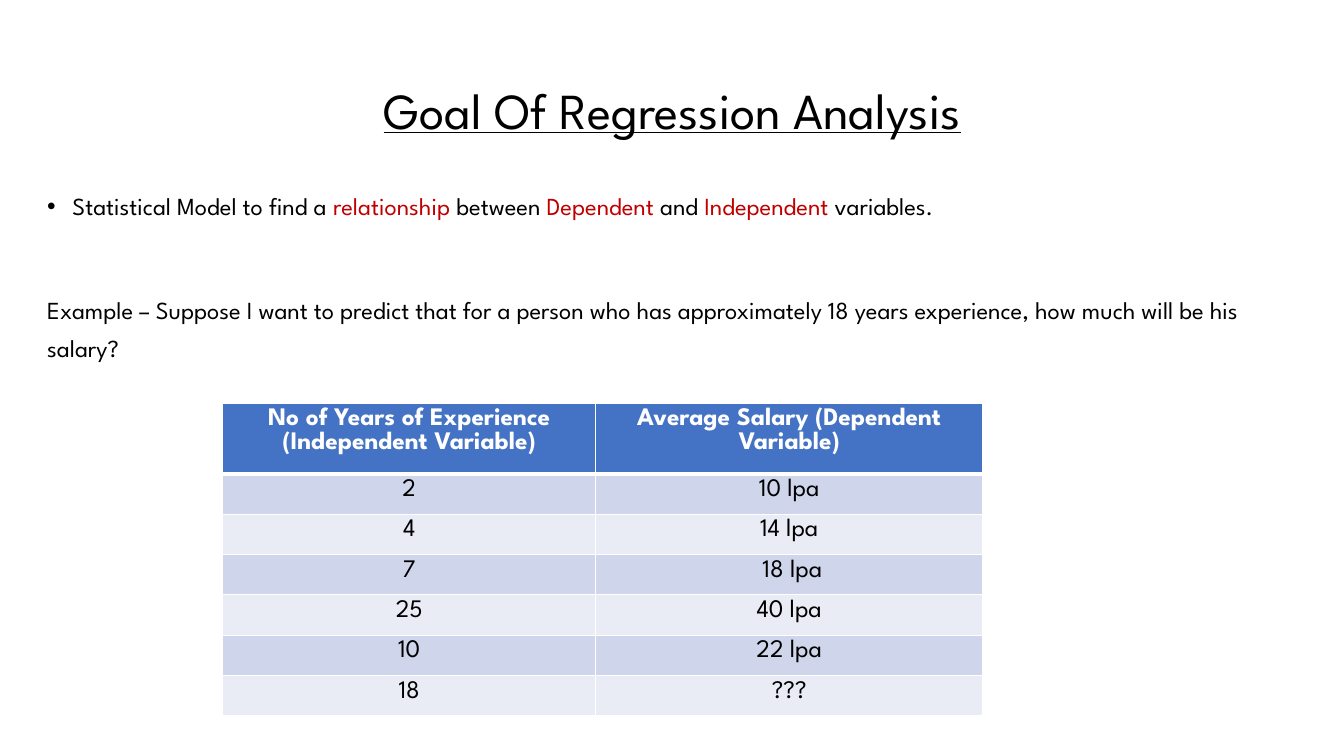
from dataclasses import dataclass

import pptx
import pptx.dml.color
import pptx.enum.text
import pptx.oxml
import pptx.oxml.ns
import pptx.presentation
import pptx.slide
import pptx.table
import pptx.text.text
import pptx.util

Pt = pptx.util.Pt
PP_ALIGN = pptx.enum.text.PP_ALIGN


@dataclass(frozen=True)
class Theme:
    font: str = "League Spartan"
    text: str = "000000"
    accent: str = "C00000"
    header: str = "4472C4"
    bands: tuple[str, str] = ("CFD5EA", "E9EBF5")
    light: str = "FFFFFF"
    title_size: float = 36
    body_size: float = 17.5
    table_size: float = 18


@dataclass(frozen=True)
class Box:
    left: float
    top: float
    width: float
    height: float

    def lengths(self) -> list[pptx.util.Length]:
        return [Pt(v) for v in (self.left, self.top, self.width, self.height)]


@dataclass(frozen=True)
class Run:
    text: str
    accented: bool = False


@dataclass(frozen=True)
class Paragraph:
    runs: tuple[Run, ...]
    space_before: float
    bulleted: bool = False


THEME = Theme()
TITLE_BOX = Box(66.24, 28.8, 828, 104.4)
BODY_BOX = Box(26.64, 126.72, 915.84, 143.28)
TABLE_BOX = Box(159.12, 288, 542.88, 193.6)
COLUMN_WIDTHS = (266.4, 276.48)
HEADER_HEIGHT, ROW_HEIGHT = 40, 25.6
THIN, THICK = 1, 3

BODY = (
    Paragraph(
        (
            Run("Statistical Model to find a "),
            Run("relationship", accented=True),
            Run(" between "),
            Run("Dependent", accented=True),
            Run(" and "),
            Run("Independent", accented=True),
            Run(" variables."),
        ),
        space_before=10,
        bulleted=True,
    ),
    Paragraph(
        (Run("Example – Suppose I want to predict that for a person who has approximately "
             "18 years experience, how much will be his salary?"),),
        space_before=47,
    ),
)

SALARIES = (
    ("No of Years of Experience (Independent Variable)", "Average Salary (Dependent Variable)"),
    ("2", "10 lpa"),
    ("4", "14 lpa"),
    ("7", " 18 lpa"),
    ("25", "40 lpa"),
    ("10", "22 lpa"),
    ("18", "???"),
)


def rgb(color: str) -> pptx.dml.color.RGBColor:
    return pptx.dml.color.RGBColor.from_string(color)


def set_font(font: pptx.text.text.Font, size: float, color: str) -> None:
    font.name = THEME.font
    font.size = Pt(size)
    font.color.rgb = rgb(color)


def add_bullet(p: pptx.text.text._Paragraph, indent: float) -> None:
    pPr = p._p.get_or_add_pPr()
    pPr.set("marL", str(Pt(indent)))
    pPr.set("indent", str(-Pt(indent)))
    ns = pptx.oxml.ns.nsdecls("a")
    for xml in (f'<a:buFont {ns} typeface="Arial"/>', f'<a:buChar {ns} char="•"/>'):
        pPr.insert_element_before(pptx.oxml.parse_xml(xml), "a:tabLst", "a:defRPr", "a:extLst")


def set_borders(cell: pptx.table._Cell, top: float, bottom: float) -> None:
    """Draw light lines on all four sides, thin at left and right."""
    tcPr = cell._tc.get_or_add_tcPr()
    widths = {"lnL": THIN, "lnR": THIN, "lnT": top, "lnB": bottom}
    for i, (tag, width) in enumerate(widths.items()):
        tcPr.insert(i, pptx.oxml.parse_xml(
            f'<a:{tag} {pptx.oxml.ns.nsdecls("a")} w="{Pt(width)}"><a:solidFill>'
            f'<a:srgbClr val="{THEME.light}"/></a:solidFill></a:{tag}>'))


def add_title(s: pptx.slide.Slide, text: str) -> None:
    sp = s.shapes.title
    sp.left, sp.top, sp.width, sp.height = TITLE_BOX.lengths()
    tf = sp.text_frame
    tf.text = text
    tf.auto_size = pptx.enum.text.MSO_AUTO_SIZE.NONE
    tf.vertical_anchor = pptx.enum.text.MSO_ANCHOR.MIDDLE
    p = tf.paragraphs[0]
    p.alignment = PP_ALIGN.CENTER
    p.line_spacing = 0.9
    set_font(p.font, THEME.title_size, THEME.text)
    p.font.underline = True


def add_body(s: pptx.slide.Slide, paragraphs: tuple[Paragraph, ...]) -> None:
    tf = s.shapes.add_textbox(*BODY_BOX.lengths()).text_frame
    tf.word_wrap = True
    for i, paragraph in enumerate(paragraphs):
        p = tf.add_paragraph() if i else tf.paragraphs[0]
        p.line_spacing = 1.3
        p.space_before = Pt(paragraph.space_before)
        set_font(p.font, THEME.body_size, THEME.text)
        if paragraph.bulleted:
            add_bullet(p, indent=18)
        for run in paragraph.runs:
            r = p.add_run()
            r.text = run.text
            set_font(r.font, THEME.body_size, THEME.accent if run.accented else THEME.text)


def add_salary_table(s: pptx.slide.Slide, rows: tuple[tuple[str, str], ...]) -> None:
    table = s.shapes.add_table(len(rows), len(COLUMN_WIDTHS), *TABLE_BOX.lengths()).table
    for column, width in zip(table.columns, COLUMN_WIDTHS):
        column.width = Pt(width)
    for i, texts in enumerate(rows):
        is_header = i == 0
        table.rows[i].height = Pt(HEADER_HEIGHT if is_header else ROW_HEIGHT)
        for j, text in enumerate(texts):
            cell = table.cell(i, j)
            cell.text = text
            cell.fill.solid()
            cell.fill.fore_color.rgb = rgb(THEME.header if is_header else THEME.bands[(i - 1) % 2])
            set_borders(cell, THICK if i == 1 else THIN, THICK if is_header else THIN)
            p = cell.text_frame.paragraphs[0]
            p.alignment = PP_ALIGN.CENTER
            r = p.runs[0]
            set_font(r.font, THEME.table_size, THEME.light if is_header else THEME.text)
            r.font.bold = is_header


def main() -> None:
    prs = pptx.Presentation()
    prs.slide_width, prs.slide_height = Pt(960), Pt(540)
    s = prs.slides.add_slide(prs.slide_layouts.get_by_name("Title Only"))
    add_title(s, "Goal Of Regression Analysis")
    add_body(s, BODY)
    add_salary_table(s, SALARIES)
    prs.save("out.pptx")


if __name__ == "__main__":
    main()
